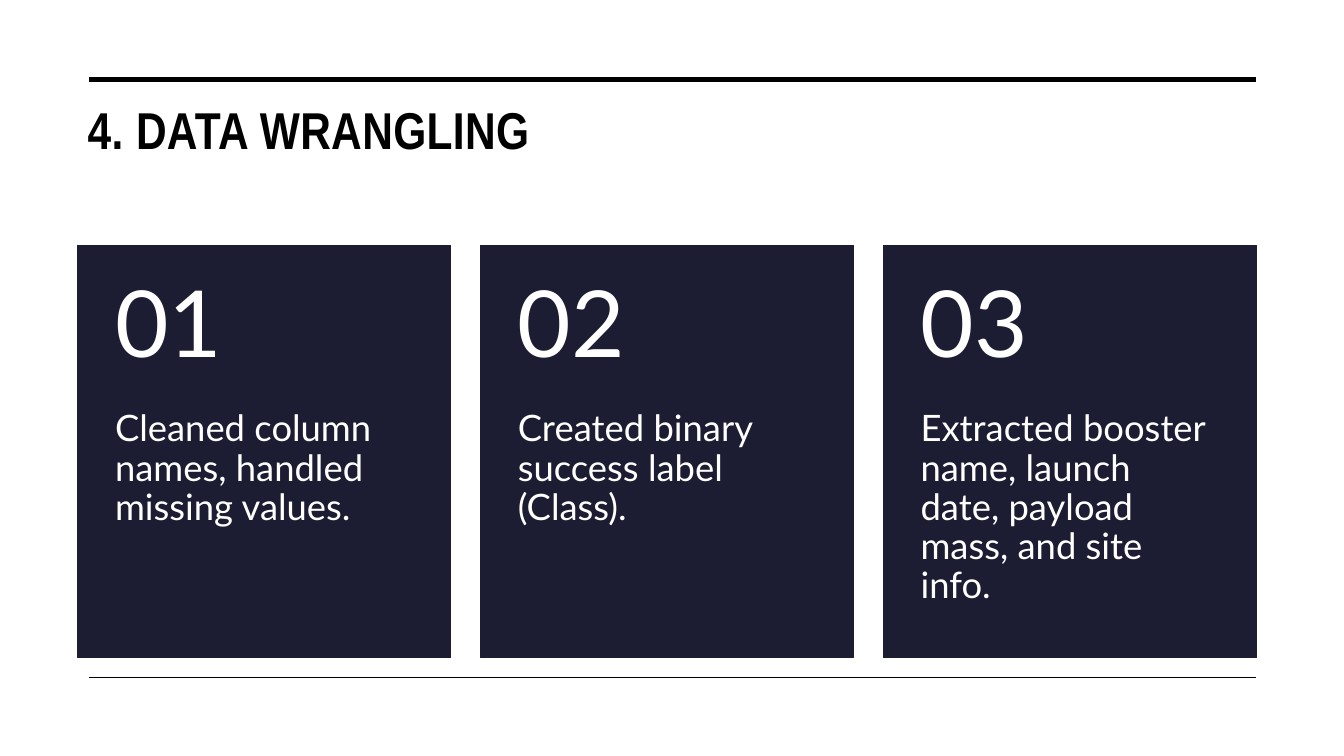
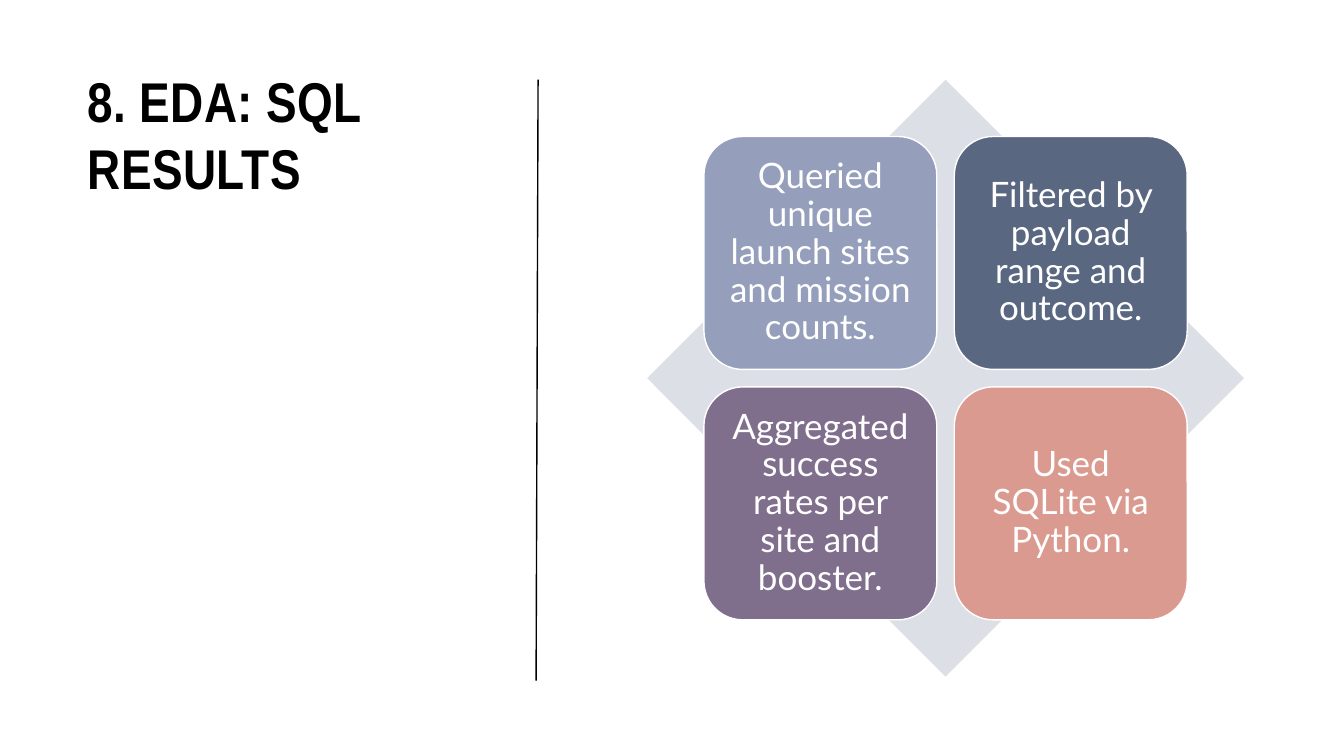
import pptx
import pptx.util
import pptx.dml.color
import pptx.enum.shapes
import pptx.enum.text
import pptx.oxml
from dataclasses import dataclass

Cm = pptx.util.Cm
Pt = pptx.util.Pt
RGB = pptx.dml.color.RGBColor.from_string
SHAPE = pptx.enum.shapes.MSO_SHAPE
ALIGN = pptx.enum.text.PP_ALIGN
ANCHOR = pptx.enum.text.MSO_ANCHOR


@dataclass(frozen=True)
class Theme:
    title_font: str = "Arial Narrow"
    body_font: str = "Lato"
    ink: str = "000000"
    paper: str = "FFFFFF"
    card: str = "1C1C32"
    diamond: str = "DDDFE7"
    tiles: tuple = ("959EBB", "596781", "7F6E8C", "DB9A8F")
    wide_title_size: int = 37
    side_title_size: int = 40
    number_size: int = 66
    card_size: int = 26
    tile_size: int = 25
    thick_line: float = 3.5
    thin_line: float = 1


theme = Theme()


def write_text(holder, text, size, insets=(0.25, 0.13, 0.25, 0.13), spacing=0.9,
               align=ALIGN.LEFT, anchor=ANCHOR.TOP, title=False):
    """Fill a shape or text box; insets are left, top, right, bottom in cm."""
    frame = holder.text_frame
    frame.word_wrap = True
    frame.vertical_anchor = anchor
    (frame.margin_left, frame.margin_top,
     frame.margin_right, frame.margin_bottom) = map(Cm, insets)
    frame.text = text
    paragraph = frame.paragraphs[0]
    paragraph.alignment = align
    paragraph.line_spacing = spacing
    run = paragraph.runs[0]
    run.font.name = theme.title_font if title else theme.body_font
    run.font.size = Pt(size)
    run.font.bold = title
    run.font.color.rgb = RGB(theme.ink if title else theme.paper)
    if title:
        run._r.get_or_add_rPr().set("spc", "30")


def add_rule(slide, x1, y1, x2, y2, weight):
    rule = slide.shapes.add_connector(
        pptx.enum.shapes.MSO_CONNECTOR.STRAIGHT, Cm(x1), Cm(y1), Cm(x2), Cm(y2))
    rule.line.color.rgb = RGB(theme.ink)
    rule.line.width = Pt(weight)
    rule._element.spPr.append(pptx.oxml.parse_xml(
        '<a:effectLst xmlns:a="http://schemas.openxmlformats.org/drawingml/2006/main"/>'))


deck = pptx.Presentation()
deck.slide_width, deck.slide_height = Cm(33.87), Cm(19.05)
blank = deck.slide_layouts[6]
margin, top_edge = 1.96, 2.01

# Slide 1: title between two rules
wrangling = deck.slides.add_slide(blank)
title = wrangling.shapes.add_textbox(Cm(margin), Cm(2.51), Cm(29.69), Cm(3.2))
write_text(title, "4. DATA WRANGLING", theme.wide_title_size, title=True)
add_rule(wrangling, 2.24, top_edge, 31.65, top_edge, theme.thick_line)
add_rule(wrangling, 2.24, 17.07, 31.65, 17.07, theme.thin_line)

# Slide 1: numbered cards
steps = [
    "Cleaned column names, handled missing values.",
    "Created binary success label (Class).",
    "Extracted booster name, launch date, payload mass, and site info.",
]
card_top, card_width, card_height, card_pitch = 6.18, 9.4, 10.39, 10.15
number_height = 4.16
for i, step in enumerate(steps):
    left = Cm(margin + i * card_pitch)
    card = wrangling.shapes.add_shape(
        SHAPE.RECTANGLE, left, Cm(card_top), Cm(card_width), Cm(card_height))
    card.shadow.inherit = False
    card.fill.solid()
    card.fill.fore_color.rgb = RGB(theme.card)
    card.line.color.rgb = RGB(theme.card)
    card.line.width = Pt(theme.thin_line)

    number = wrangling.shapes.add_textbox(
        left, Cm(card_top), Cm(card_width), Cm(number_height))
    write_text(number, f"{i + 1:02}", theme.number_size,
               insets=(0.94, 0.46, 0.94, 0.46), anchor=ANCHOR.MIDDLE)

    description = wrangling.shapes.add_textbox(
        left, Cm(card_top + number_height), Cm(card_width), Cm(card_height - number_height))
    write_text(description, step, theme.card_size, insets=(0.94, 0, 0.94, 0.91))

# Slide 2: title at the side of a dividing rule
results = deck.slides.add_slide(blank)
title = results.shapes.add_textbox(Cm(margin), Cm(1.55), Cm(10.06), Cm(12.67))
write_text(title, "8. EDA: SQL RESULTS", theme.side_title_size, spacing=1.0, title=True)
add_rule(results, 13.51, 17.15, 13.56, top_edge, theme.thin_line)

# Slide 2: diamond behind the tiles
diamond_left, diamond_size = 16.31, 15.04
diamond = results.shapes.add_shape(
    SHAPE.DIAMOND, Cm(diamond_left), Cm(top_edge), Cm(diamond_size), Cm(diamond_size))
diamond.shadow.inherit = False
diamond.fill.solid()
diamond.fill.fore_color.rgb = RGB(theme.diamond)
diamond.line.fill.background()

# Slide 2: two by two tiles, centred on the diamond
findings = [
    "Queried unique launch sites and mission counts.",
    "Filtered by payload range and outcome.",
    "Aggregated success rates per site and booster.",
    "Used SQLite via Python.",
]
tile_size, tile_pitch = 5.87, 6.31
tile_offset = (diamond_size - tile_pitch - tile_size) / 2
for i, (finding, colour) in enumerate(zip(findings, theme.tiles)):
    row, column = divmod(i, 2)
    tile = results.shapes.add_shape(
        SHAPE.ROUNDED_RECTANGLE,
        Cm(diamond_left + tile_offset + column * tile_pitch),
        Cm(top_edge + tile_offset + row * tile_pitch),
        Cm(tile_size), Cm(tile_size))
    tile.shadow.inherit = False
    tile.fill.solid()
    tile.fill.fore_color.rgb = RGB(colour)
    tile.line.color.rgb = RGB(theme.paper)
    tile.line.width = Pt(theme.thin_line)
    write_text(tile, finding, theme.tile_size, insets=(0.25,) * 4,
               align=ALIGN.CENTER, anchor=ANCHOR.MIDDLE)

deck.save("out.pptx")
